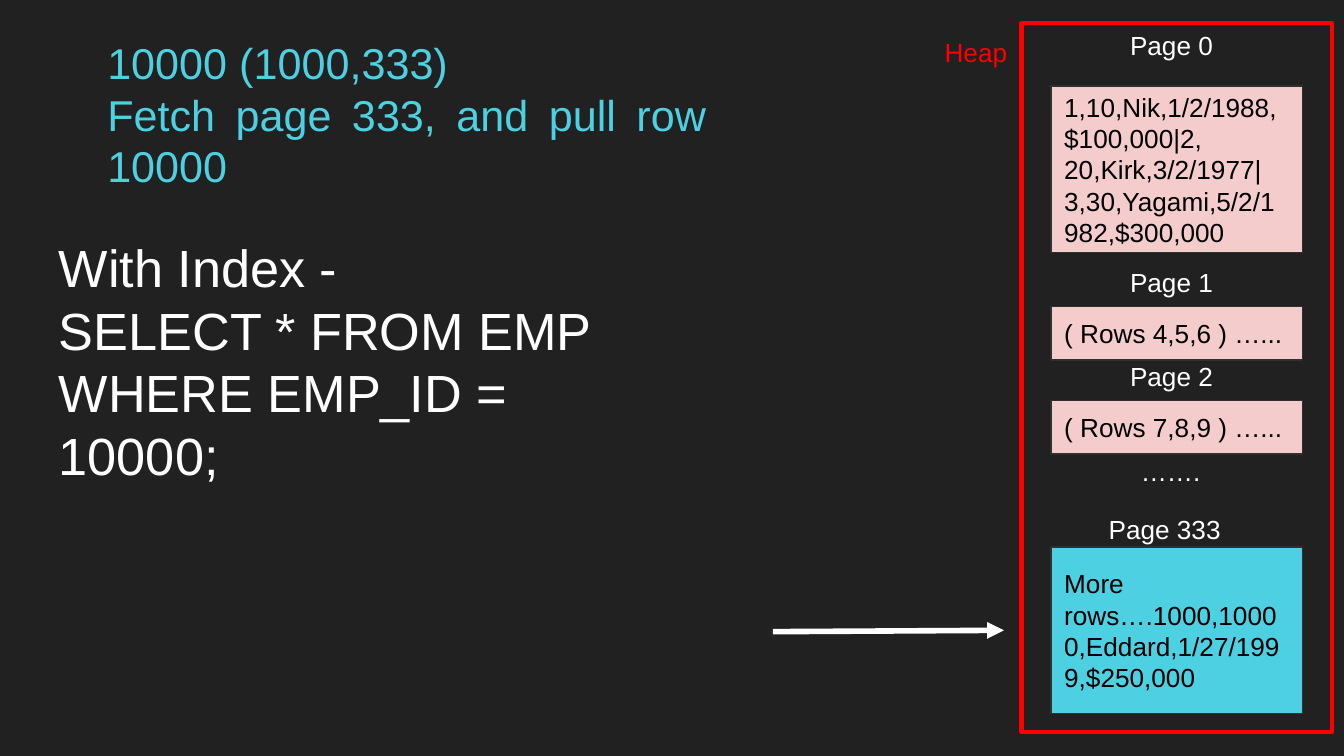
import pptx
import pptx.util
import pptx.dml.color
import pptx.enum.shapes
import pptx.enum.text
import pptx.oxml
import pptx.oxml.ns

Inches, Pt = pptx.util.Inches, pptx.util.Pt
ALIGN = pptx.enum.text.PP_ALIGN
ANCHOR = pptx.enum.text.MSO_ANCHOR
RECT = pptx.enum.shapes.MSO_SHAPE.RECTANGLE
COLORS = {"back": "212121", "white": "FFFFFF", "black": "000000", "red": "FF0000",
          "pink": "F4CCCC", "cyan": "4DD0E1", "edge": "303030"}


def tint(name):
    return pptx.dml.color.RGBColor.from_string(COLORS[name])


def write(shape, lines, size, color, align=ALIGN.LEFT, anchor=ANCHOR.TOP):
    frame = shape.text_frame
    frame.word_wrap = True
    frame.vertical_anchor = anchor
    frame.margin_left = frame.margin_right = Inches(0.1)
    frame.margin_top = frame.margin_bottom = Inches(0.1)
    for i, line in enumerate(lines):
        para = frame.add_paragraph() if i else frame.paragraphs[0]
        para.alignment = align
        run = para.add_run()
        run.text = line
        run.font.name = "Arial"
        run.font.size = Pt(size)
        run.font.color.rgb = tint(color)


def label(slide, box, lines, size=14, color="white", align=ALIGN.LEFT):
    shape = slide.shapes.add_textbox(*map(Inches, box))
    write(shape, lines, size, color, align)


def block(slide, box, fill, line, width):
    shape = slide.shapes.add_shape(RECT, *map(Inches, box))
    shape.shadow.inherit = False
    if fill:
        shape.fill.solid()
        shape.fill.fore_color.rgb = tint(fill)
    else:
        shape.fill.background()
    shape.line.color.rgb = tint(line)
    shape.line.width = Pt(width)
    return shape


def arrow(slide, start, end):
    line = slide.shapes.add_connector(
        pptx.enum.shapes.MSO_CONNECTOR.STRAIGHT, *map(Inches, start + end))
    line.line.color.rgb = tint("white")
    line.line.width = Pt(3)
    ns = pptx.oxml.ns.nsdecls("a")
    line.line._get_or_add_ln().append(
        pptx.oxml.parse_xml(f'<a:tailEnd {ns} type="triangle"/>'))
    line._element.spPr.append(pptx.oxml.parse_xml(f"<a:effectLst {ns}/>"))


def heap(slide, box):
    left, top, width, height = box
    label(slide, (left - 0.67, top, 0.85, 0.44), ["Heap"], color="red")
    block(slide, box, None, "red", 2.25)

    # Pages: name, name left, top and width, row top and height, fill, rows
    pages = [
        ("Page 0", 0.71, -0.05, 0.9, 0.47, 1.24, "pink",
         "1,10,Nik,1/2/1988,$100,000|2, 20,Kirk,3/2/1977|3,30,Yagami,5/2/1982,$300,000"),
        ("Page 1", 0.71, 1.71, 0.9, 2.11, 0.4, "pink", "( Rows 4,5,6 ) …..."),
        ("Page 2", 0.71, 2.41, 0.9, 2.81, 0.4, "pink", "( Rows 7,8,9 ) …..."),
        ("Page 333", 0.55, 3.55, 1.15, 3.9, 1.24, "cyan",
         "More rows….1000,10000,Eddard,1/27/1999,$250,000"),
    ]
    for name, x, y, wide, row, tall, fill, text in pages:
        shape = block(slide, (left + 0.22, top + row, 1.87, tall), fill, "edge", 0.75)
        write(shape, [text], 14, "black", anchor=ANCHOR.MIDDLE)
        label(slide, (left + x, top + y, wide, 0.44), [name])
    label(slide, (left + 0.79, top + 3.12, 0.9, 0.44), ["……."])


def query(slide, box):
    left, top, width, height = box
    # Index lookup result
    label(slide, (left + 0.36, top, width, 0.9),
          ["10000 (1000,333)", "Fetch page 333, and pull row 10000"],
          23.1, "cyan", ALIGN.JUSTIFY)
    # Query text
    label(slide, (left, top + 1.48, width, 2.33),
          ["With Index -", "SELECT * FROM EMP WHERE EMP_ID = 10000;"], 28)


def main():
    deck = pptx.Presentation()
    # Widescreen, 16 to 9
    deck.slide_width, deck.slide_height = Inches(10), Inches(10 * 9 / 16)
    slide = deck.slides.add_slide(deck.slide_layouts[6])
    slide.background.fill.solid()
    slide.background.fill.fore_color.rgb = tint("back")
    heap(slide, (7.6, 0.17, 2.31, 5.28))
    query(slide, (0.34, 0.17, 4.66, 3.81))
    arrow(slide, (5.75, 4.7), (7.47, 4.69))
    deck.save("out.pptx")


if __name__ == "__main__":
    main()
